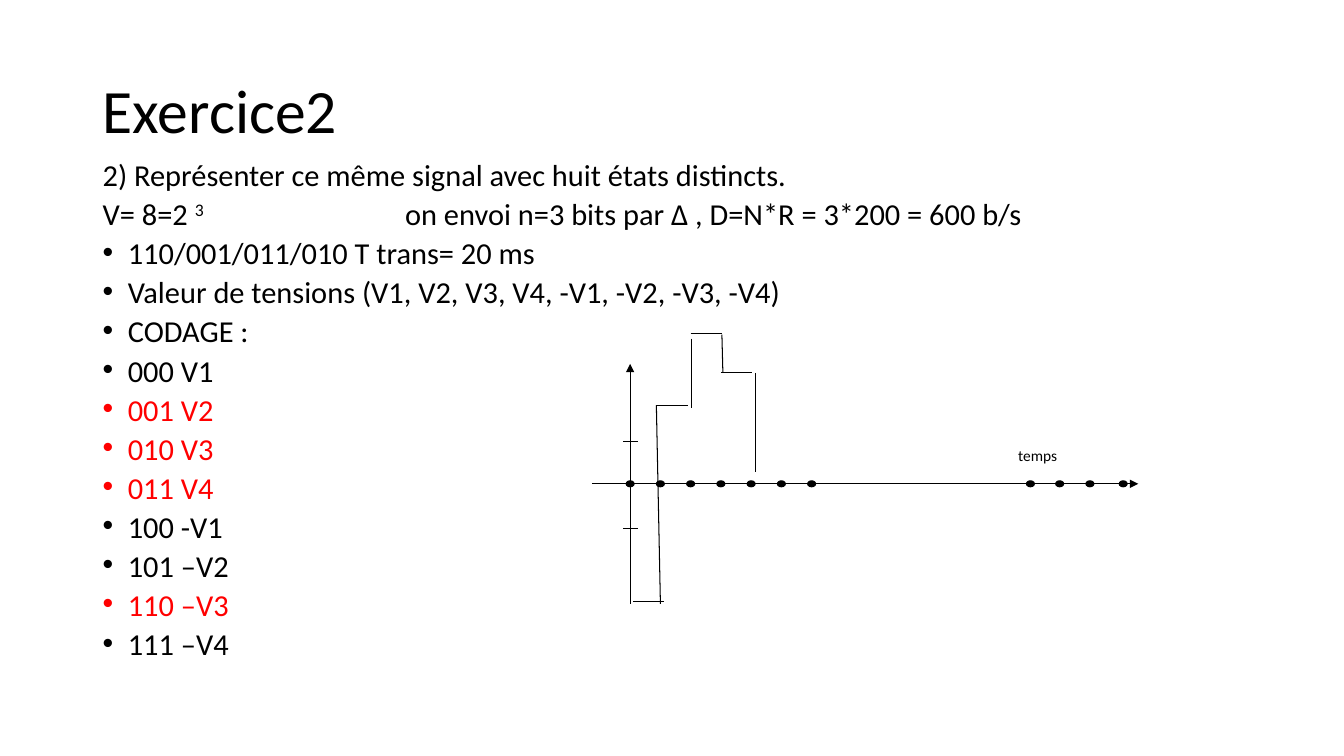
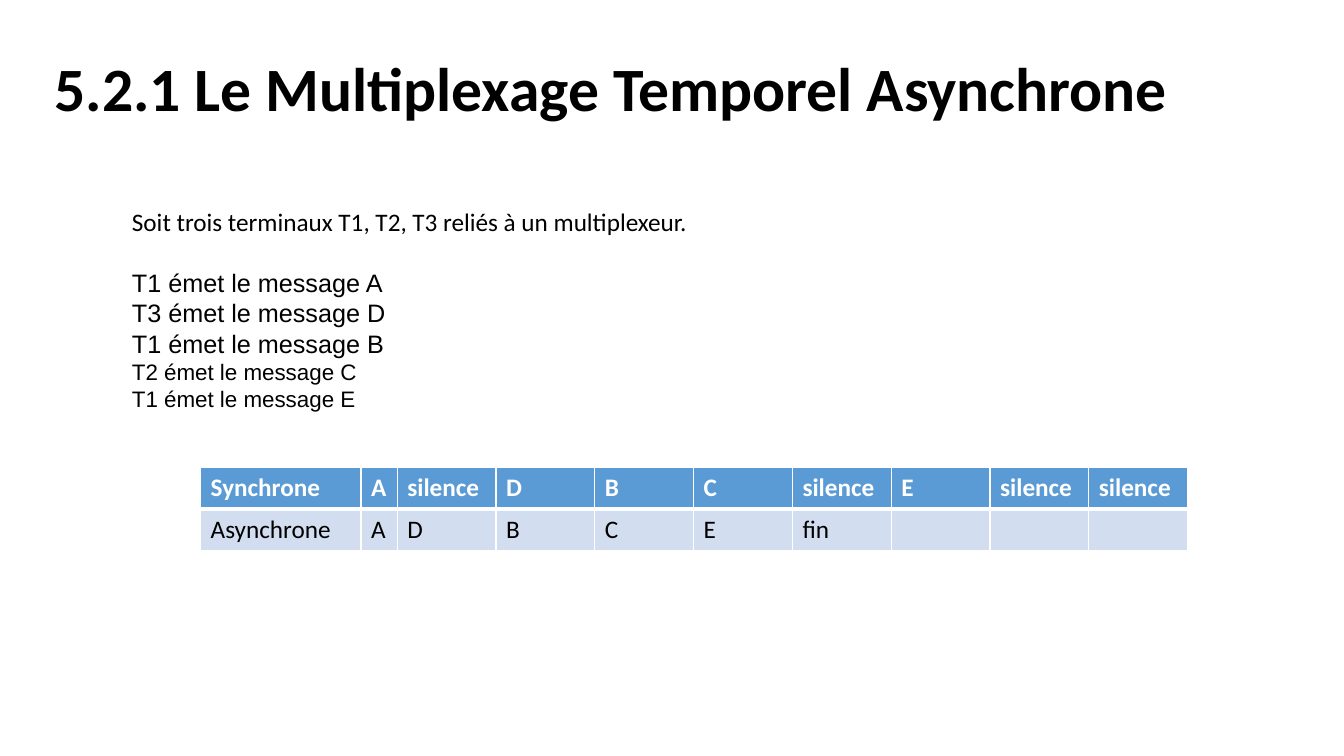
from dataclasses import dataclass
from itertools import chain

from lxml import etree
from pptx import Presentation
from pptx.dml.color import RGBColor
from pptx.enum import shapes, text
from pptx.oxml import ns
from pptx.util import Emu, Pt

PX = 9144
BLACK, WHITE, RED = "000000", "FFFFFF", "FF0000"
BLUE, PALE = "5B9BD5", "D2DEEF"


@dataclass(frozen=True)
class Box:
    """A frame in px."""
    left: int
    top: int
    width: int
    height: int

    def emu(self) -> list[Emu]:
        """Return the frame in EMU."""
        return [px(n) for n in (self.left, self.top, self.width, self.height)]


@dataclass(frozen=True)
class Line:
    """A straight line in px, with an optional arrowhead at its end."""
    x1: int
    y1: int
    x2: int
    y2: int
    arrow: bool = False


@dataclass(frozen=True)
class Item:
    """A line of text with its format."""
    words: str
    color: str = BLACK
    size: int = 18
    font: str = "Calibri"
    before: int = 0


AXES = [Line(625, 599, 625, 361, True), Line(587, 480, 1129, 480, True)]
TICKS = [Line(618, y, 633, y) for y in (438, 524)]
SIGNAL = [
    Line(628, 597, 659, 597), Line(651, 402, 655, 599),
    Line(651, 402, 682, 402), Line(686, 336, 686, 405),
    Line(685, 331, 716, 331), Line(716, 332, 717, 370),
    Line(715, 370, 746, 370), Line(749, 370, 749, 468),
]
DOTS = chain(range(621, 802, 30), (1018, 1047, 1077, 1110))
CODES = [
    Item("110/001/011/010 T trans= 20 ms"),
    Item("Valeur de tensions (V1, V2, V3, V4, -V1, -V2, -V3, -V4)"),
    Item("CODAGE :"), Item("000 V1"), Item("001 V2", RED),
    Item("010 V3", RED), Item("011 V4", RED), Item("100 -V1"),
    Item("101 –V2"), Item("110 –V3", RED), Item("111 –V4"),
]
SENDS = [
    Item("Soit trois terminaux T1, T2, T3 reliés à un multiplexeur."),
    Item("T1 émet le message A", font="Arial", before=22),
    Item("T3 émet le message D", font="Arial"),
    Item("T1 émet le message B", font="Arial"),
    Item("T2 émet le message C", font="Arial", size=16),
    Item("T1 émet le message E", font="Arial", size=16),
]
ROWS = [
    ["Synchrone", "A", "silence", "D", "B", "C", "silence", "E",
     "silence", "silence"],
    ["Asynchrone", "A", "D", "B", "C", "E", "fin", "", "", ""],
]
WIDTHS = [159, 36] + [98] * 8


def px(n: int) -> Emu:
    """Turn px into EMU."""
    return Emu(n * PX)


def rgb(code: str) -> RGBColor:
    """Turn a hex string into a colour."""
    return RGBColor.from_string(code)


def sub(node, tag: str, **attrs: str):
    """Append a drawing element to a node."""
    return etree.SubElement(node, ns.qn(f"a:{tag}"), attrs)


def write(par, words: str, *, size: float = 18, color: str = BLACK,
          font: str = "Calibri", bold: bool = False, lift: int = 0) -> None:
    """Add a formatted run to a paragraph."""
    run = par.add_run()
    run.text = words
    run.font.size, run.font.name, run.font.bold = Pt(size), font, bold
    run.font.color.rgb = rgb(color)
    if lift:
        run.font._element.set("baseline", str(lift * 1000))


def title(slide, words: str, box: Box, bold: bool = False) -> None:
    """Place and fill the title."""
    shape = slide.shapes.title
    shape.left, shape.top, shape.width, shape.height = box.emu()
    frame = shape.text_frame
    frame.auto_size = text.MSO_AUTO_SIZE.NONE
    frame.vertical_anchor = text.MSO_ANCHOR.MIDDLE
    par = frame.paragraphs[0]
    par.alignment, par.line_spacing = text.PP_ALIGN.LEFT, 0.9
    write(par, words, size=44, bold=bold)


def panel(slide, box: Box, wrap: bool = True):
    """Add a text box."""
    shape = slide.shapes.add_textbox(*box.emu())
    shape.text_frame.word_wrap = wrap
    return shape


def pars(frame, count: int) -> list:
    """Give a frame the wanted number of paragraphs."""
    return [frame.paragraphs[0]] + [
        frame.add_paragraph() for _ in range(count - 1)]


def bullet(par) -> None:
    """Give a paragraph a hanging bullet."""
    prop = par._p.get_or_add_pPr()
    prop.set("marL", str(px(25)))
    prop.set("indent", str(px(-25)))
    sub(prop, "buFont", typeface="Arial")
    sub(prop, "buChar", char="•")


def stop(par, at: int) -> None:
    """Set a left tab stop."""
    tabs = sub(par._p.get_or_add_pPr(), "tabLst")
    sub(tabs, "tab", pos=str(px(at)), algn="l")


def draw(slide, line: Line) -> None:
    """Draw a thin black line."""
    ends = [px(n) for n in (line.x1, line.y1, line.x2, line.y2)]
    wire = slide.shapes.add_connector(shapes.MSO_CONNECTOR.STRAIGHT, *ends)
    wire.line.color.rgb, wire.line.width = rgb(BLACK), Pt(0.75)
    if line.arrow:
        sub(wire.line._get_or_add_ln(), "tailEnd", type="triangle")
    sub(wire._element.spPr, "effectLst")


def dot(slide, left: int) -> None:
    """Draw a dot on the time axis."""
    shape = slide.shapes.add_shape(
        shapes.MSO_SHAPE.OVAL, *Box(left, 477, 8, 6).emu())
    shape.shadow.inherit = False
    shape.fill.solid()
    shape.fill.fore_color.rgb = rgb(BLACK)
    shape.line.color.rgb, shape.line.width = rgb(BLACK), Pt(0.75)


def edge(cell, **sides: float) -> None:
    """Set white cell borders, by side and width in points."""
    prop = cell._tc.get_or_add_tcPr()
    for spot, (side, width) in enumerate(sides.items()):
        line = etree.Element(ns.qn(f"a:{side}"), w=str(Pt(width)))
        sub(sub(line, "solidFill"), "srgbClr", val=WHITE)
        prop.insert(spot, line)


def grid(slide, box: Box) -> None:
    """Draw the multiplexing table."""
    table = slide.shapes.add_table(
        len(ROWS), len(WIDTHS), *box.emu()).table
    for col, width in zip(table.columns, WIDTHS):
        col.width = px(width)
    for r, row in enumerate(ROWS):
        head = r == 0
        for c, words in enumerate(row):
            cell = table.cell(r, c)
            cell.fill.solid()
            cell.fill.fore_color.rgb = rgb(BLUE if head else PALE)
            edge(cell, lnL=1, lnR=1, lnT=1 if head else 3,
                 lnB=3 if head else 1)
            if words:
                write(cell.text_frame.paragraphs[0], words, bold=head,
                      color=WHITE if head else BLACK)


def coding(slide) -> None:
    """Build the slide on the eight-state signal."""
    title(slide, "Exercice2", Box(92, 40, 1150, 145))
    body = panel(slide, Box(92, 160, 1150, 516)).text_frame
    ask, rate, *rest = pars(body, len(CODES) + 2)
    for par in (ask, rate, *rest):
        par.line_spacing, par.space_before = 0.7, Pt(9.7)
    size = 21.7
    write(ask, "2) Représenter ce même signal avec huit états distincts.",
          size=size)
    stop(rate, 300)
    write(rate, "V= 8=2 ", size=size)
    write(rate, "3", size=size, lift=30)
    write(rate, "\ton envoi n=3 bits par Δ , D=N*R = 3*200 = 600 b/s",
          size=size)
    for par, item in zip(rest, CODES):
        bullet(par)
        write(par, item.words, size=size, color=item.color)
    for line in AXES + TICKS + SIGNAL:
        draw(slide, line)
    for left in DOTS:
        dot(slide, left)
    label = panel(slide, Box(1000, 438, 61, 25), wrap=False)
    label.fill.solid()
    label.fill.fore_color.rgb = rgb(WHITE)
    write(label.text_frame.paragraphs[0], "temps", size=11)


def timing(slide) -> None:
    """Build the slide on asynchronous multiplexing."""
    title(slide, "5.2.1 Le Multiplexage Temporel Asynchrone",
          Box(44, 18, 1150, 145), bold=True)
    body = panel(slide, Box(121, 200, 758, 246)).text_frame
    for par, item in zip(pars(body, len(SENDS)), SENDS):
        par.space_before = Pt(item.before)
        write(par, item.words, size=item.size, font=item.font)
    grid(slide, Box(199, 464, sum(WIDTHS), 82))


def main() -> None:
    """Build and save the slides."""
    deck = Presentation()
    deck.slide_width, deck.slide_height = px(1333), px(750)
    for build in (coding, timing):
        build(deck.slides.add_slide(deck.slide_layouts[5]))
    deck.save("out.pptx")


if __name__ == "__main__":
    main()
